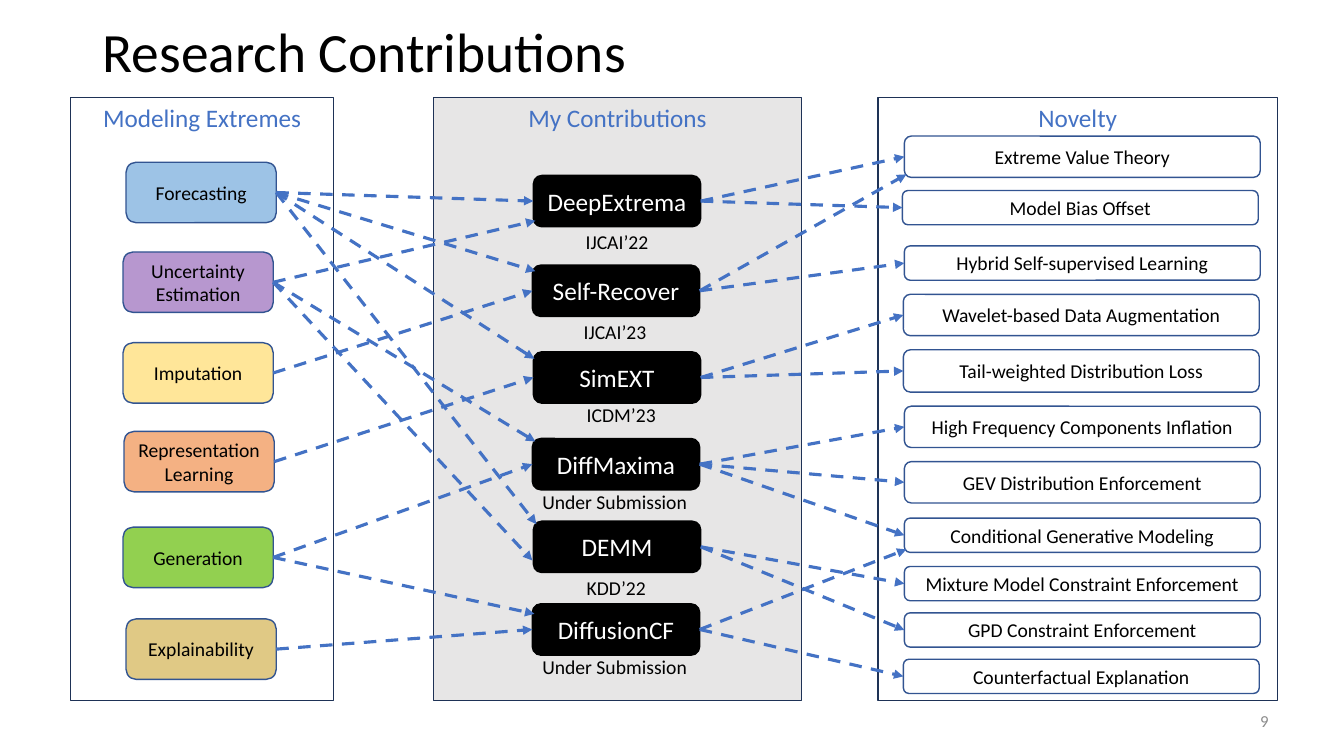
"""Build the Research Contributions slide: three panels of boxes joined by dashed arrows."""
from pptx import Presentation
from pptx.dml.color import RGBColor
from pptx.enum.dml import MSO_LINE
from pptx.enum.shapes import MSO_CONNECTOR, MSO_SHAPE
from pptx.enum.text import MSO_ANCHOR, PP_ALIGN
from pptx.oxml.ns import qn
from pptx.util import Pt
from lxml.etree import SubElement

PX = 9144
hue = RGBColor.from_string

deck = Presentation()
deck.slide_width, deck.slide_height = 1333 * PX, 750 * PX
slide = deck.slides.add_slide(deck.slide_layouts[6])


def put(area, text, size, ink="000000", form=None, fill=None, edge=None,
        align=PP_ALIGN.CENTER, anchor=MSO_ANCHOR.MIDDLE, wrap=True):
    """Place a box, or a plain text box when form is None."""
    rect = [n * PX for n in area]
    if form is None:
        box = slide.shapes.add_textbox(*rect)
    else:
        box = slide.shapes.add_shape(form, *rect)
        box.shadow.inherit = False
        box.line.color.rgb = hue(edge)
        box.line.width = Pt(1)
        if fill:
            box.fill.solid()
            box.fill.fore_color.rgb = hue(fill)
        else:
            box.fill.background()
    frame = box.text_frame
    para = frame.paragraphs[0]
    para.text = text
    para.alignment = align
    for key, val in {"word_wrap": wrap, "vertical_anchor": anchor}.items():
        setattr(frame, key, val)
    for key, val in {"name": "Calibri", "size": Pt(size)}.items():
        setattr(para.font, key, val)
    para.font.color.rgb = hue(ink)
    return box


title = put((92, 17, 1150, 74), "Research Contributions", 39.6, align=PP_ALIGN.LEFT)
title.text_frame.paragraphs[0].line_spacing = 0.9
put((942, 695, 326, 40), "9", 12, "8C8C8C", align=PP_ALIGN.RIGHT)

panels = [
    ("Modeling Extremes", 70, 261, None),
    ("My Contributions", 430, 365, "E7E6E6"),
    ("Novelty", 871, 396, None),
]
for text, left, width, fill in panels:
    put((left, 97, width, 598), text, 18, "4472C4", MSO_SHAPE.RECTANGLE, fill,
        "1E3256", anchor=MSO_ANCHOR.TOP)

nodes = {}

tasks = [
    ("Forecasting", 125, 161, "9DC3E6", None),
    ("Uncertainty Estimation", 122, 250, "7030A0", 50),
    ("Imputation", 122, 340, "FFE699", None),
    ("Representation Learning", 123, 428, "F4B183", None),
    ("Generation", 122, 523, "92D050", None),
    ("Explainability", 125, 614, "BF9000", 48),
]
for text, left, top, fill, alpha in tasks:
    box = put((left, top, 149, 60), text, 14, form=MSO_SHAPE.ROUNDED_RECTANGLE,
              fill=fill, edge="325491")
    if alpha:
        tint = box.fill._xPr.find(qn("a:solidFill"))[0]
        SubElement(tint, qn("a:alpha")).set("val", str(alpha * 1000))
    nodes[text] = box

models = [
    ("DeepExtrema", 529, 174, "IJCAI’22", 571, 223, 83),
    ("Self-Recover", 528, 263, "IJCAI’23", 569, 312, 83),
    ("SimEXT", 529, 349, "ICDM’23", 572, 395, 89),
    ("DiffMaxima", 528, 435, "Under Submission", 528, 481, 165),
    ("DEMM", 529, 517, "KDD’22", 572, 566, 79),
    ("DiffusionCF", 528, 599, "Under Submission", 528, 645, 165),
]
for text, left, top, venue, start, drop, width in models:
    nodes[text] = put((left, top, 166, 51), text, 18, "FFFFFF",
                      MSO_SHAPE.ROUNDED_RECTANGLE, "000000", "000000")
    put((start, drop, width, 34), venue, 14, align=PP_ALIGN.LEFT,
        anchor=MSO_ANCHOR.TOP, wrap=False)

ideas = [
    ("Extreme Value Theory", 897, 135, 41),
    ("Model Bias Offset", 895, 189, 34),
    ("Hybrid Self-supervised Learning", 897, 244, 34),
    ("Wavelet-based Data Augmentation", 896, 292, 41),
    ("Tail-weighted Distribution Loss", 896, 347, 42),
    ("High Frequency Components Inflation", 897, 403, 41),
    ("GEV Distribution Enforcement", 897, 458, 41),
    ("Conditional Generative Modeling", 897, 514, 34),
    ("Mixture Model Constraint Enforcement", 897, 562, 34),
    ("GPD Constraint Enforcement", 897, 608, 34),
    ("Counterfactual Explanation", 896, 654, 34),
]
for text, left, top, height in ideas:
    nodes[text] = put((left, top, 353, height), text, 14,
                      form=MSO_SHAPE.ROUNDED_RECTANGLE, edge="325491")

links = [
    ("Forecasting", "DeepExtrema", None),
    ("Forecasting", "Self-Recover", (531, 269)),
    ("Forecasting", "SimEXT", (530, 356)),
    ("Forecasting", "DEMM", (532, 520)),
    ("Uncertainty Estimation", "DeepExtrema", (531, 219)),
    ("Uncertainty Estimation", "DiffMaxima", (531, 438)),
    ("Uncertainty Estimation", "DEMM", (528, 556)),
    ("Imputation", "Self-Recover", None),
    ("Representation Learning", "SimEXT", None),
    ("Generation", "DiffMaxima", None),
    ("Generation", "DiffusionCF", (530, 609)),
    ("Explainability", "DiffusionCF", None),
    ("DeepExtrema", "Extreme Value Theory", None),
    ("DeepExtrema", "Model Bias Offset", None),
    ("Self-Recover", "Extreme Value Theory", (899, 173)),
    ("Self-Recover", "Hybrid Self-supervised Learning", None),
    ("SimEXT", "Wavelet-based Data Augmentation", None),
    ("SimEXT", "Tail-weighted Distribution Loss", None),
    ("DiffMaxima", "High Frequency Components Inflation", None),
    ("DiffMaxima", "GEV Distribution Enforcement", None),
    ("DiffMaxima", "Conditional Generative Modeling", None),
    ("DEMM", "Mixture Model Constraint Enforcement", None),
    ("DEMM", "GPD Constraint Enforcement", None),
    ("DiffusionCF", "Conditional Generative Modeling", (899, 545)),
    ("DiffusionCF", "Counterfactual Explanation", None),
]
for source, target, tip in links:
    x, y = tip or (0, 0)
    arrow = slide.shapes.add_connector(MSO_CONNECTOR.STRAIGHT, 0, 0, x * PX, y * PX)
    arrow.begin_connect(nodes[source], 3)
    if tip is None:
        arrow.end_connect(nodes[target], 1)
    for key, val in {"width": Pt(2.25), "dash_style": MSO_LINE.DASH}.items():
        setattr(arrow.line, key, val)
    arrow.line.color.rgb = hue("4472C4")
    props = arrow.line._get_or_add_ln()
    SubElement(props, qn("a:tailEnd")).set("type", "triangle")
    SubElement(props.getparent(), qn("a:effectLst"))

deck.save("out.pptx")
